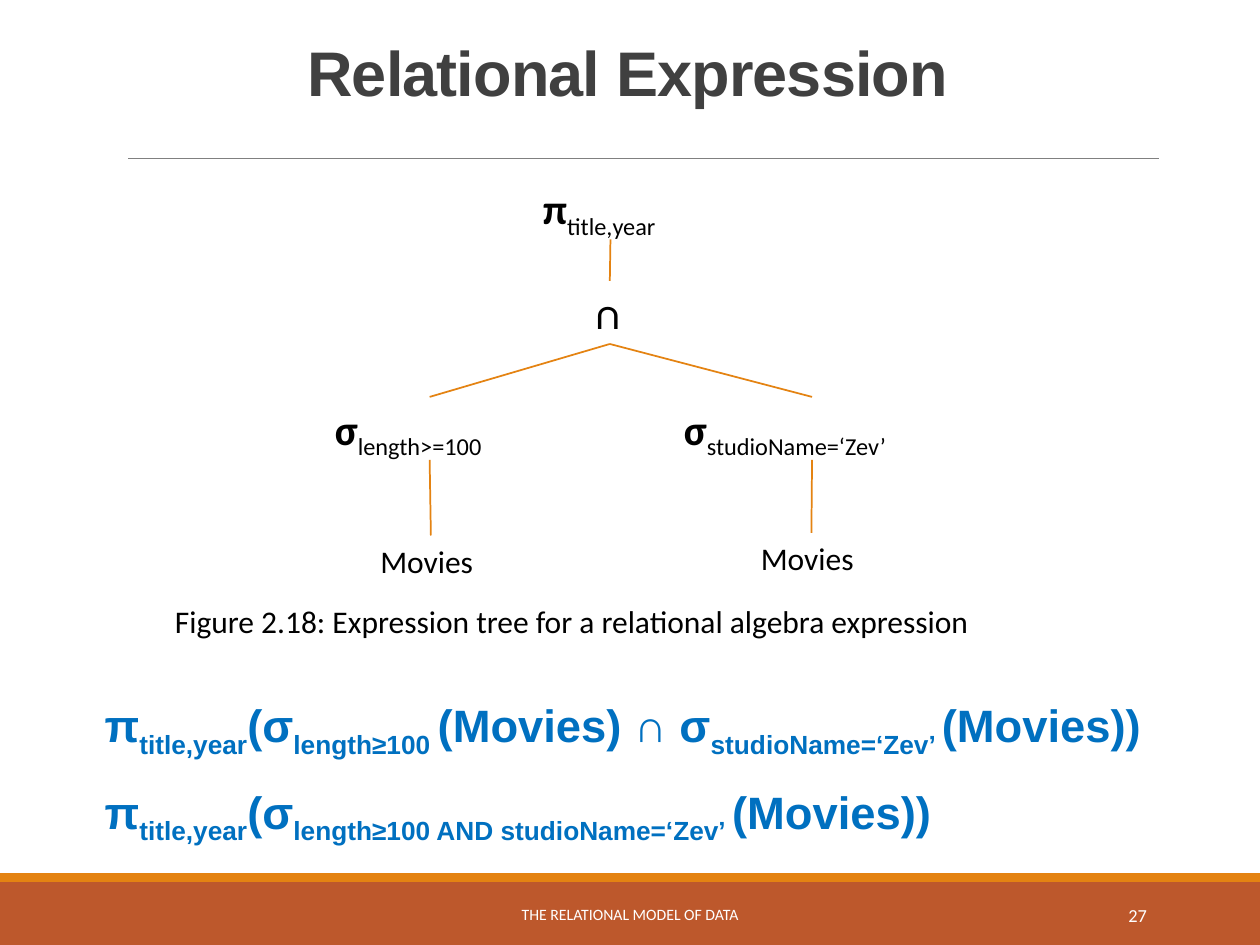
from dataclasses import dataclass

from lxml import etree
from pptx import Presentation
from pptx import util as u
from pptx.dml.color import RGBColor
from pptx.enum import shapes, text
from pptx.oxml import ns


@dataclass(frozen=True)
class Theme:
    """Colours, fonts and type sizes of the slide."""

    ink: str = "000000"
    heading: str = "404040"
    formula: str = "0070C0"
    white: str = "FFFFFF"
    rust: str = "BD582C"
    orange: str = "E48312"
    rule: str = "808080"
    body_font: str = "Calibri"
    heading_font: str = "Arial"
    title_size: float = 36
    formula_size: float = 25.9
    symbol_size: float = 24
    label_size: float = 18
    number_size: float = 10.5
    footer_size: float = 9


class SlideBuilder:
    """Holds the theme and the current slide and draws each kind of element."""

    def __init__(self, slide, theme):
        self.slide = slide
        self.theme = theme

    def apply(self, target, values):
        """Set every attribute named in a dict."""
        for name, value in values.items():
            setattr(target, name, value)

    def bar(self, top, height, color):
        """Draw a full-width band."""
        shape = self.slide.shapes.add_shape(
            shapes.MSO_SHAPE.RECTANGLE, 0, u.Inches(top), u.Inches(10), u.Inches(height))
        shape.shadow.inherit = False
        shape.fill.solid()
        shape.fill.fore_color.rgb = RGBColor.from_string(color)
        shape.line.fill.background()

    def line(self, points, color, width):
        """Draw a straight line through (x1, y1, x2, y2)."""
        connector = self.slide.shapes.add_connector(
            shapes.MSO_CONNECTOR.STRAIGHT, *(u.Inches(value) for value in points))
        connector.line.color.rgb = RGBColor.from_string(color)
        connector.line.width = u.Pt(width)
        etree.SubElement(connector._element.spPr, ns.qn("a:effectLst"))
        return connector

    def branch(self, parent, child):
        """Join the bottom of a parent node to the top of its child."""
        connector = self.line((0, 0, 1, 1), self.theme.orange, 1)
        connector.begin_connect(parent, 2)
        connector.end_connect(child, 0)

    def run(self, paragraph, content, size, color, font, bold=False, subscript=False, tracking=0):
        """Add one styled run."""
        run = paragraph.add_run()
        run.text = content
        self.apply(run.font, {"size": u.Pt(size), "name": font, "bold": bold})
        run.font.color.rgb = RGBColor.from_string(color)
        if subscript:
            run.font._element.set("baseline", "-25000")
        if tracking:
            run.font._element.set("spc", str(tracking))

    def text_box(self, box, frame_format=None):
        """Add an empty text box."""
        shape = self.slide.shapes.add_textbox(*(u.Inches(value) for value in box))
        self.apply(shape.text_frame, {"word_wrap": True, **(frame_format or {})})
        return shape

    def label(self, box, content, size, color, font, frame_format=None, paragraph_format=None, **style):
        """Add a text box with one run."""
        shape = self.text_box(box, frame_format)
        paragraph = shape.text_frame.paragraphs[0]
        self.apply(paragraph, paragraph_format or {})
        self.run(paragraph, content, size, color, font, **style)
        return shape

    def node(self, box, symbol, subscript="", size=None, bold=True):
        """Add a tree node: a symbol with an optional subscript."""
        theme = self.theme
        size = size or theme.symbol_size
        fit = {"word_wrap": False, "auto_size": text.MSO_AUTO_SIZE.SHAPE_TO_FIT_TEXT}
        shape = self.label(box, symbol, size, theme.ink, theme.body_font, fit, bold=bold)
        if subscript:
            self.run(shape.text_frame.paragraphs[0], subscript, size, theme.ink,
                     theme.body_font, subscript=True)
        return shape

    def formulas(self, box, lines):
        """Add formulas whose parts alternate between normal and subscript."""
        theme = self.theme
        insets = {"margin_left": u.Inches(0.06), "margin_top": u.Inches(0.1)}
        frame = self.text_box(box, insets).text_frame
        for index, parts in enumerate(lines):
            paragraph = frame.add_paragraph() if index else frame.paragraphs[0]
            self.apply(paragraph, {"line_spacing": 1.4})
            properties = paragraph._p.get_or_add_pPr()
            properties.set("marL", str(u.Inches(0.48)))
            properties.set("indent", str(u.Inches(-0.35)))
            for position, part in enumerate(parts):
                self.run(paragraph, part, theme.formula_size, theme.formula,
                         theme.heading_font, bold=True, subscript=position % 2 == 1)


def main():
    presentation = Presentation()
    presentation.slide_width, presentation.slide_height = u.Inches(10), u.Inches(7.5)
    theme = Theme()
    builder = SlideBuilder(presentation.slides.add_slide(presentation.slide_layouts[6]), theme)

    builder.bar(7, 0.5, theme.rust)
    builder.bar(6.93, 0.07, theme.orange)
    builder.line((1.02, 1.26, 9.2, 1.26), theme.rule, 0.5)
    builder.label((0.64, 0.31, 8.68, 0.92), "Relational Expression", theme.title_size,
                  theme.heading, theme.heading_font, bold=True, tracking=-50,
                  paragraph_format={"alignment": text.PP_ALIGN.CENTER, "line_spacing": 0.85})

    middle = {"vertical_anchor": text.MSO_ANCHOR.MIDDLE}
    footers = (
        ((3.02, 7.06, 3.96, 0.4), "THE RELATIONAL MODEL OF DATA", theme.footer_size, text.PP_ALIGN.CENTER),
        ((8.12, 7.06, 1.08, 0.4), "27", theme.number_size, text.PP_ALIGN.RIGHT),
    )
    for box, content, size, alignment in footers:
        builder.label(box, content, size, theme.white, theme.body_font, middle, {"alignment": alignment})

    studio = "studioName=‘Zev’"
    projection = builder.node((4.21, 1.4, 1.27, 0.5), "π", "title,year")
    intersection = builder.node((4.61, 2.23, 0.46, 0.5), "∩")
    builder.branch(projection, intersection)
    selections = (
        ((2.56, 3.15, 1.7, 0.5), "length>=100", (2.92, 4.25, 1, 0.4)),
        ((5.33, 3.15, 2.23, 0.5), studio, (5.94, 4.23, 1, 0.4)),
    )
    for selection_box, condition, relation_box in selections:
        selection = builder.node(selection_box, "σ", condition)
        relation = builder.node(relation_box, "Movies", size=theme.label_size, bold=False)
        builder.branch(intersection, selection)
        builder.branch(selection, relation)

    builder.label((1.29, 4.73, 7.18, 0.4),
                  "Figure 2.18: Expression tree for a relational algebra expression",
                  theme.label_size, theme.ink, theme.body_font)
    builder.formulas((0.64, 5.24, 9.25, 1.33), (
        ("π", "title,year", "(σ", "length≥100 ", "(Movies) ∩ σ", f"{studio} ", "(Movies))"),
        ("π", "title,year", "(σ", f"length≥100 AND {studio} ", "(Movies))"),
    ))
    presentation.save("out.pptx")


if __name__ == "__main__":
    main()
